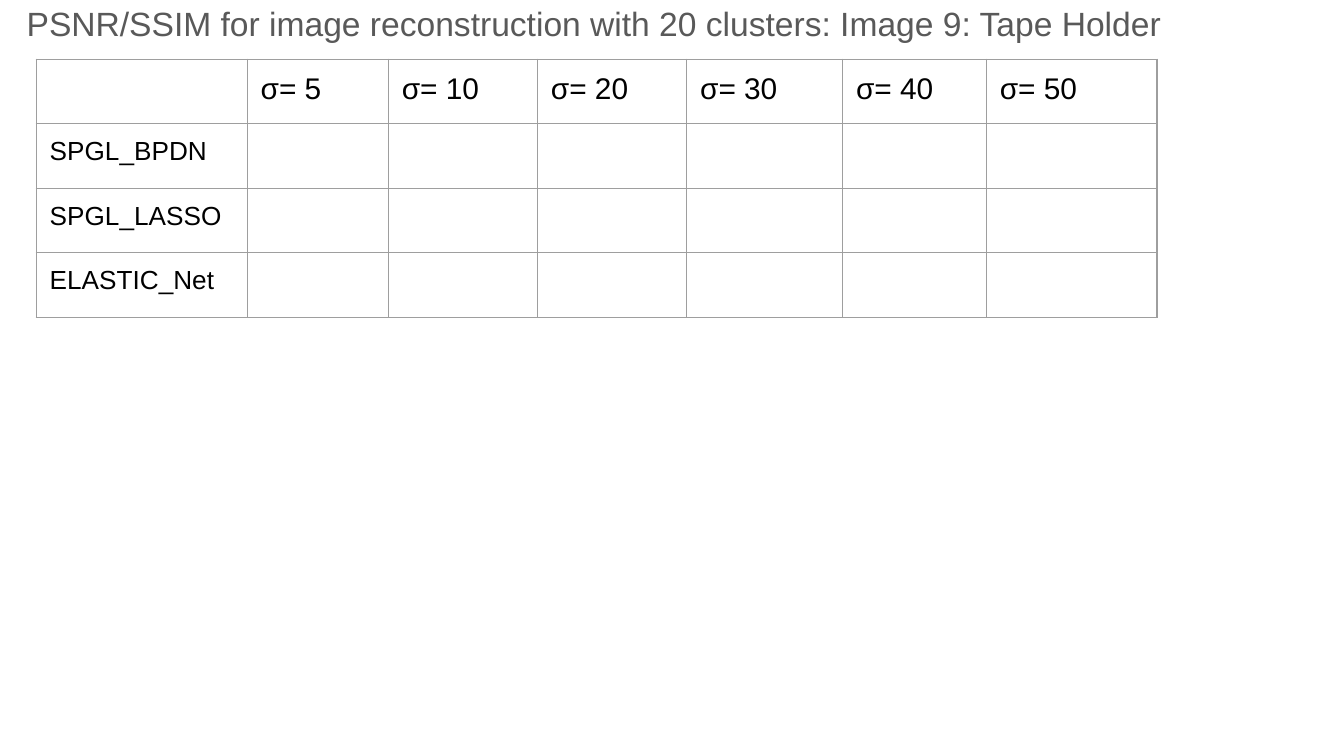
from lxml import etree
from pptx import Presentation
from pptx.dml.color import RGBColor
from pptx.oxml import ns
from pptx.util import Inches, Pt

TITLE = "PSNR/SSIM for image reconstruction with 20 clusters: Image 9: Tape Holder"
SIGMAS = [5, 10, 20, 30, 40, 50]
METHODS = ["SPGL_BPDN", "SPGL_LASSO", "ELASTIC_Net"]
COLUMN_WIDTHS = [1.57, 1.05, 1.11, 1.11, 1.16, 1.07, 1.27]
ROW_HEIGHT = 0.48
MARGIN = Inches(0.1)

GRAY = RGBColor(0x59, 0x59, 0x59)
BLACK = RGBColor(0, 0, 0)
BORDER = RGBColor(0x9E, 0x9E, 0x9E)


def write(holder, content, size, color=BLACK):
    holder.margin_left = holder.margin_right = MARGIN
    holder.margin_top = holder.margin_bottom = MARGIN
    frame = getattr(holder, "text_frame", holder)
    run = frame.paragraphs[0].add_run()
    run.text = content
    run.font.name = "Arial"
    run.font.size = Pt(size)
    run.font.color.rgb = color


def add_borders(cell):
    properties = cell._tc.get_or_add_tcPr()
    for side in ("lnL", "lnR", "lnT", "lnB"):
        line = etree.SubElement(properties, ns.qn(f"a:{side}"), w=str(Pt(0.75)))
        fill = etree.SubElement(line, ns.qn("a:solidFill"))
        etree.SubElement(fill, ns.qn("a:srgbClr"), val=str(BORDER))


presentation = Presentation()
presentation.slide_width = Inches(10)
presentation.slide_height = presentation.slide_width * 9 // 16
slide = presentation.slides.add_slide(presentation.slide_layouts[6])

title = slide.shapes.add_textbox(Inches(0.1), Inches(-0.08), Inches(9.42), Inches(0.4))
title.text_frame.word_wrap = True
write(title.text_frame, TITLE, size=18, color=GRAY)

row_count = len(METHODS) + 1
table = slide.shapes.add_table(
    row_count, len(COLUMN_WIDTHS), Inches(0.27), Inches(0.44),
    Inches(sum(COLUMN_WIDTHS)), Inches(ROW_HEIGHT * row_count),
).table
table.first_row = False
table.horz_banding = False
for column, width in zip(table.columns, COLUMN_WIDTHS):
    column.width = Inches(width)
for row in table.rows:
    row.height = Inches(ROW_HEIGHT)

for cell in table.iter_cells():
    add_borders(cell)
    cell.fill.background()
for index, sigma in enumerate(SIGMAS, 1):
    write(table.cell(0, index), f"σ= {sigma}", size=16)
for index, method in enumerate(METHODS, 1):
    write(table.cell(index, 0), method, size=14)

presentation.save("out.pptx")
